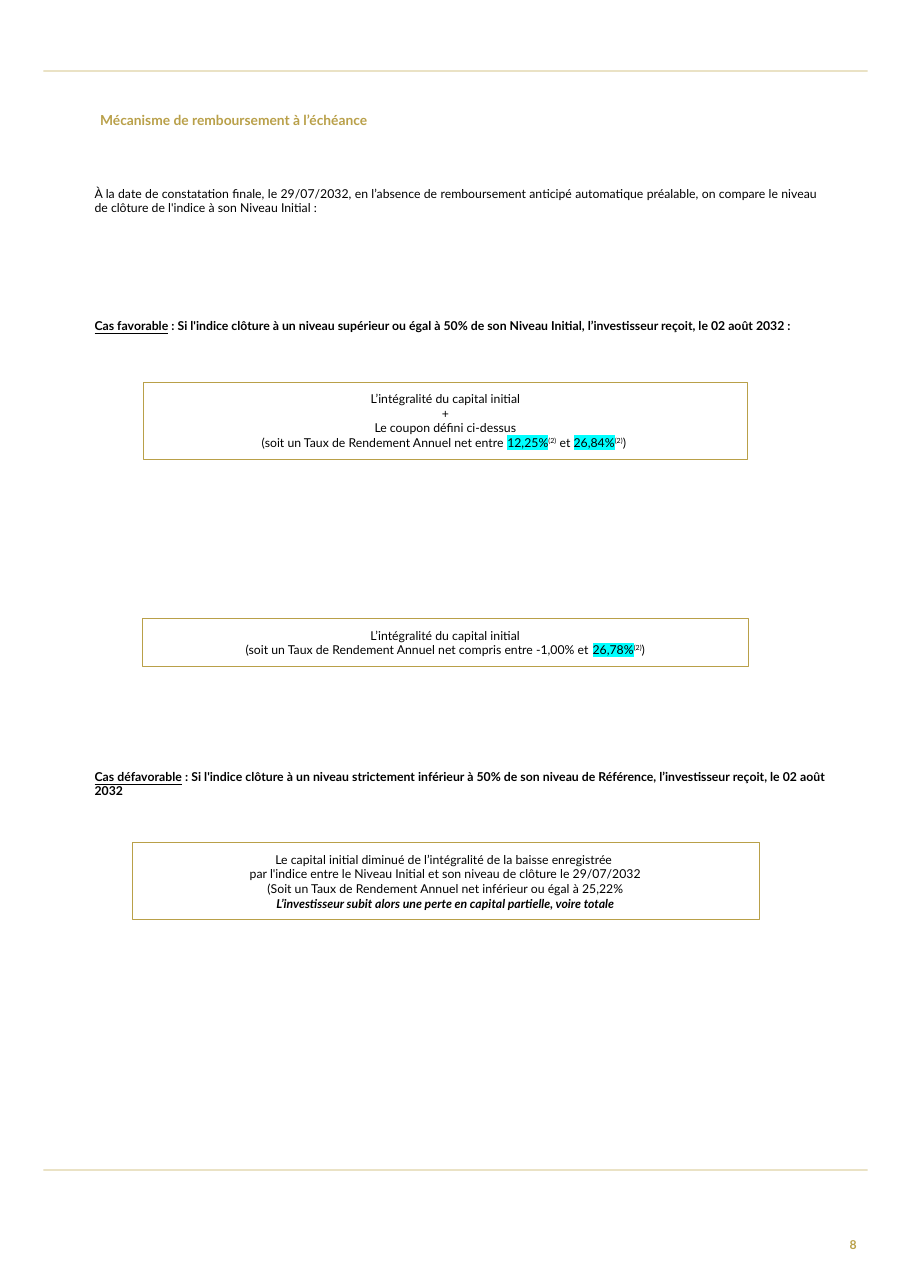
from lxml.etree import SubElement
from pptx import Presentation
from pptx.dml.color import RGBColor
from pptx.enum.shapes import MSO_SHAPE
from pptx.enum.text import MSO_ANCHOR, MSO_AUTO_SIZE, PP_ALIGN
from pptx.oxml.ns import qn
from pptx.util import Cm, Pt

COLORS = {"gold": "B9A049", "rule": "C5AF5C", "text": "000000", "mark": "00FFFF"}
MARK = {"highlight": "mark"}
NOTE = {"superscript": True}


def rgb(name):
    return RGBColor.from_string(COLORS[name])


def write(paragraph, text, size=8, color="text", bold=None, italic=None,
          underline=None, highlight=None, superscript=False):
    span = paragraph.add_run()
    span.text = text
    font = span.font
    font.size, font.bold, font.italic, font.underline = Pt(size), bold, italic, underline
    font.color.rgb = rgb(color)
    properties = font._element
    if highlight:
        mark = SubElement(properties, qn("a:highlight"))
        SubElement(mark, qn("a:srgbClr"), val=COLORS[highlight])
    if superscript:
        properties.set("baseline", "30000")
    font.name = "Lato"


class Page:
    font_gold = {"color": "gold", "bold": True}

    def __init__(self, deck):
        self.slide = deck.slides.add_slide(deck.slide_layouts[5])
        self.shapes = self.slide.shapes

    def fill_frame(self, frame, lines, align, anchor=MSO_ANCHOR.TOP,
                   margins=(0, 0), grow=True):
        """Each line is a list of (text, format) spans; margins are across and down."""
        frame.word_wrap = True
        frame.auto_size = MSO_AUTO_SIZE.SHAPE_TO_FIT_TEXT if grow else MSO_AUTO_SIZE.NONE
        frame.vertical_anchor = anchor
        frame.margin_left = frame.margin_right = Cm(margins[0])
        frame.margin_top = frame.margin_bottom = Cm(margins[1])
        for index, line in enumerate(lines):
            paragraph = frame.add_paragraph() if index else frame.paragraphs[0]
            paragraph.alignment = align
            for text, style in line:
                write(paragraph, text, **style)

    def title(self, text, left, top, width, height):
        title = self.shapes.title
        title.left, title.top = Cm(left), Cm(top)
        title.width, title.height = Cm(width), Cm(height)
        self.fill_frame(title.text_frame, [[(text, {"size": 9, **self.font_gold})]],
                        PP_ALIGN.CENTER, margins=(0.25, 0.13), grow=False)
        title.text_frame.paragraphs[0].line_spacing = 0.9

    def rectangle(self, left, top, width, height):
        box = self.shapes.add_shape(MSO_SHAPE.RECTANGLE, Cm(left), Cm(top),
                                    Cm(width), Cm(height))
        box.shadow.inherit = False
        return box

    def rule(self, top):
        bar = self.rectangle(1, top, 19, 0.02)
        bar.fill.solid()
        bar.fill.fore_color.rgb = rgb("rule")
        bar.line.fill.background()

    def outcome(self, left, top, width, height, lines):
        box = self.rectangle(left, top, width, height)
        box.fill.background()
        box.line.color.rgb = rgb("gold")
        box.line.width = Pt(0.5)
        self.fill_frame(box.text_frame, lines, PP_ALIGN.CENTER,
                        MSO_ANCHOR.MIDDLE, margins=(0.3, 0.2))

    def text(self, top, width, height, spans):
        box = self.shapes.add_textbox(Cm(2.18), Cm(top), Cm(width), Cm(height))
        self.fill_frame(box.text_frame, [spans], PP_ALIGN.JUSTIFY)

    def case(self, top, height, label, condition):
        self.text(top, 16.87, height, [(label, {"bold": True, "underline": True}),
                                       (condition, {"bold": True})])

    def number(self, text):
        box = self.shapes.add_textbox(Cm(19), Cm(28.17), Cm(1), Cm(1.07))
        self.fill_frame(box.text_frame, [[(text, self.font_gold)]], PP_ALIGN.RIGHT,
                        MSO_ANCHOR.MIDDLE, margins=(0.25, 0.13), grow=False)


def main():
    deck = Presentation()
    deck.slide_width, deck.slide_height = Cm(21), Cm(29.7)
    page = Page(deck)
    for top in (1.63, 26.97):
        page.rule(top)
    page.number("8")
    page.title("Mécanisme de remboursement à l’échéance", 0.79, 2.49, 9.19, 0.38)
    page.text(4.29, 16.69, 0.69, [(
        "À la date de constatation finale, le 29/07/2032, en l’absence de remboursement "
        "anticipé automatique préalable, on compare le niveau de clôture de l'indice "
        "à son Niveau Initial :", {})])

    page.case(7.34, 0.33, "Cas favorable",
              " : Si l'indice clôture à un niveau supérieur ou égal à 50% de son Niveau "
              "Initial, l’investisseur reçoit, le 02 août 2032 :")
    page.outcome(3.3, 8.81, 13.94, 1.78, [
        [("L’intégralité du capital initial", {})],
        [("+", {})],
        [("Le coupon défini ci-dessus", {})],
        [("(soit un Taux de Rendement Annuel net entre ", {}), ("12,25%", MARK),
         ("(2)", NOTE), (" et ", {}), ("26,84%", MARK), ("(2)", NOTE), (") ", {})],
    ])
    page.outcome(3.28, 14.27, 13.97, 1.09, [
        [("L’intégralité du capital initial", {})],
        [("(soit un Taux de Rendement Annuel net compris entre -1,00% et ", {}),
         ("26,78%", MARK), ("(2)", NOTE), (")", {})],
    ])

    page.case(17.73, 0.69, "Cas défavorable",
              " : Si l'indice clôture à un niveau strictement inférieur à 50% de son niveau "
              "de Référence, l’investisseur reçoit, le 02 août 2032")
    page.outcome(3.05, 19.43, 14.45, 1.78, [
        [("Le capital initial diminué de l’intégralité de la baisse enregistrée ", {})],
        [("par l'indice entre le Niveau Initial et son niveau de clôture le 29/07/2032", {})],
        [("(Soit un Taux de Rendement Annuel net inférieur ou égal à 25,22%", {})],
        [("L’investisseur subit alors une perte en capital partielle, voire totale",
          {"bold": True, "italic": True})],
    ])
    deck.save("out.pptx")


if __name__ == "__main__":
    main()
